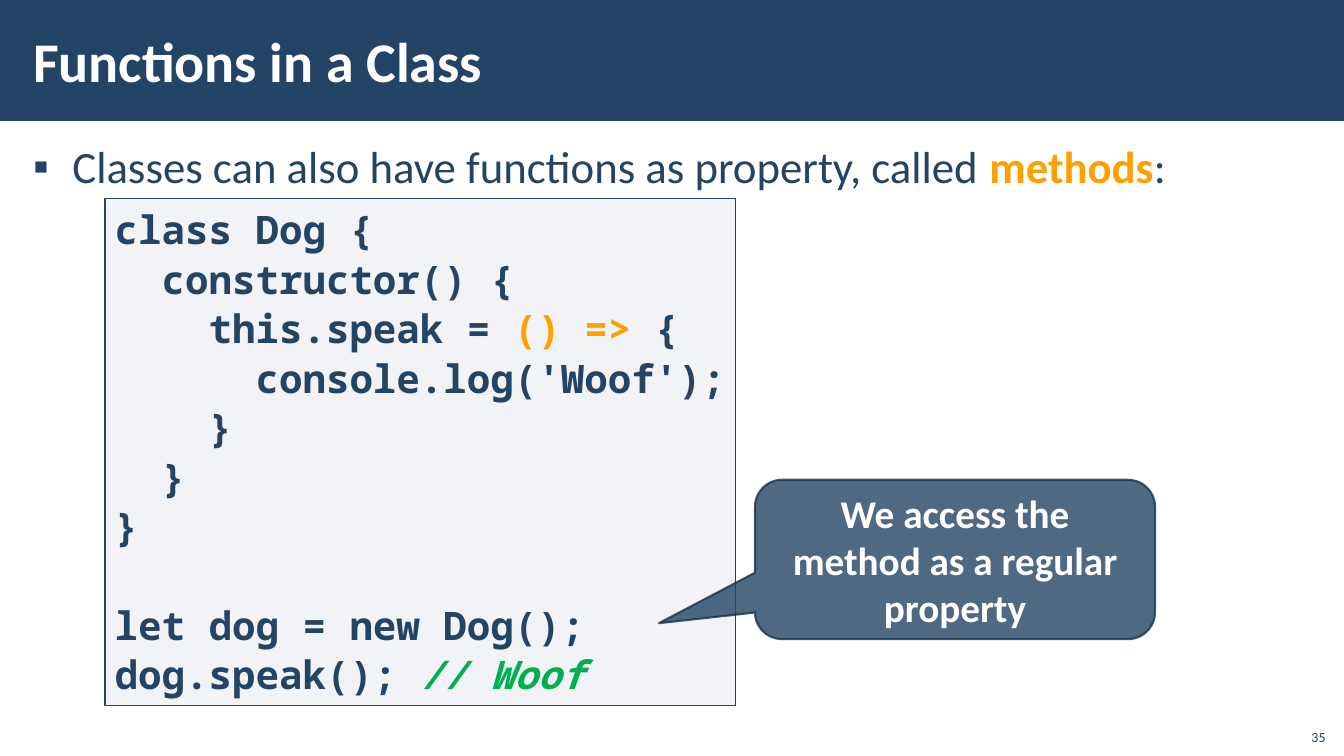
from dataclasses import dataclass

from lxml.etree import SubElement
from pptx import Presentation
from pptx.dml.color import RGBColor
from pptx.enum.shapes import MSO_SHAPE
from pptx.enum.text import MSO_ANCHOR, MSO_AUTO_SIZE, PP_ALIGN
from pptx.oxml.ns import qn
from pptx.util import Pt


@dataclass(frozen=True)
class Theme:
    navy: str = "234465"
    edge: str = "1A334C"
    mist: str = "ADB4C3"
    amber: str = "FFA000"
    green: str = "00B050"
    white: str = "FFFFFF"
    sans: str = "Calibri"
    mono: str = "Noto Sans Mono"
    title: int = 40
    body: int = 32
    code: int = 28
    page: int = 10


THEME = Theme()

CODE = [
    ["class Dog {"],
    ["  constructor() {"],
    ["    this.speak = ", ("() =>", {"color": THEME.amber}), " {"],
    ["      console.log('Woof');"],
    ["    }"],
    ["  }"],
    ["}"],
    [],
    ["let dog = new Dog();"],
    ["dog.speak(); ", ("// Woof", {"color": THEME.green, "italic": True})],
]


def style(font, size, color=THEME.navy, face=THEME.sans, bold=False, italic=False):
    font.name, font.size = face, Pt(size)
    font.bold, font.italic = bold, italic
    font.color.rgb = RGBColor.from_string(color)


def write(frame, lines, align=PP_ALIGN.LEFT, anchor=MSO_ANCHOR.TOP,
          space=None, fit=MSO_AUTO_SIZE.NONE, pad=(7.2, 3.6), **font):
    """Fill a frame; a line is a list of strings or (string, font changes)."""
    frame.word_wrap = True
    frame.auto_size = fit
    frame.vertical_anchor = anchor
    frame.margin_left = frame.margin_right = Pt(pad[0])
    frame.margin_top = frame.margin_bottom = Pt(pad[1])
    for index, line in enumerate(lines):
        para = frame.paragraphs[0] if index == 0 else frame.add_paragraph()
        para.alignment = align
        para.line_spacing = space
        if not line:
            style(para.font, **font)
        for part in line:
            text, change = (part, {}) if isinstance(part, str) else part
            run = para.add_run()
            run.text = text
            style(run.font, **{**font, **change})


def place(shape, left, top, width, height):
    shape.left, shape.top = Pt(left), Pt(top)
    shape.width, shape.height = Pt(width), Pt(height)
    return shape


def fade(paint, percent):
    """Make a solid fill or line partly transparent."""
    color = next(paint.iter(qn("a:srgbClr")))
    SubElement(color, qn("a:alpha"), val=str(percent * 1000))


def panel(slide, kind, box, fill, alpha=100, line=None, weight=1):
    shape = slide.shapes.add_shape(kind, *map(Pt, box))
    shape.shadow.inherit = False
    shape.fill.solid()
    shape.fill.fore_color.rgb = RGBColor.from_string(fill)
    if alpha < 100:
        fade(shape._element.spPr.find(qn("a:solidFill")), alpha)
    if line:
        shape.line.color.rgb = RGBColor.from_string(line)
        shape.line.width = Pt(weight)
    else:
        shape.line.fill.background()
    return shape


def bullet(para, mark, indent):
    props = para._p.get_or_add_pPr()
    props.set("marL", str(Pt(indent)))
    props.set("indent", str(Pt(-indent)))
    SubElement(props, qn("a:buChar"), char=mark)


def header(slide, text):
    bar = panel(slide, MSO_SHAPE.RECTANGLE, (0, 0, 960, 86.4), THEME.navy)
    bar._element.getparent().insert(2, bar._element)
    title = place(slide.shapes.title, 15.1, 7.9, 765.4, 69.8)
    write(title.text_frame, [[text]], anchor=MSO_ANCHOR.MIDDLE, pad=(8.5, 2.9),
          size=THEME.title, color=THEME.white, bold=True)


def points(slide, lines):
    body = place(slide.placeholders[1], 15.1, 94.3, 930.2, 435.6)
    write(body.text_frame, lines, space=1.05, pad=(8.5, 2.9), size=THEME.body)
    for index, para in enumerate(body.text_frame.paragraphs):
        para.space_before = Pt(6 if index else 0)
        para.space_after = Pt(6)
        bullet(para, "▪", 28.1)


def listing(slide, lines):
    box = panel(slide, MSO_SHAPE.RECTANGLE, (74.9, 141.8, 450.7, 362.2),
                THEME.mist, 15, THEME.navy)
    write(box.text_frame, lines, space=1.05, fit=MSO_AUTO_SIZE.SHAPE_TO_FIT_TEXT,
          size=THEME.code, face=THEME.mono, bold=True)


def callout(slide, text):
    note = panel(slide, MSO_SHAPE.ROUNDED_RECTANGULAR_CALLOUT,
                 (539.3, 342.7, 285.8, 113.8), THEME.navy, 80, THEME.edge, 1.5)
    for index, value in enumerate((-0.74, 0.4, 0.17)):
        note.adjustments[index] = value
    fade(note._element.spPr.find(qn("a:ln")), 80)
    write(note.text_frame, [[text]], align=PP_ALIGN.CENTER,
          anchor=MSO_ANCHOR.MIDDLE, size=THEME.code, color=THEME.white, bold=True)


def number(slide, text):
    box = slide.shapes.add_textbox(*map(Pt, (925.2, 512.6, 28.8, 23)))
    write(box.text_frame, [[text]], align=PP_ALIGN.RIGHT,
          anchor=MSO_ANCHOR.BOTTOM, size=THEME.page)


def main():
    deck = Presentation()
    deck.slide_width, deck.slide_height = Pt(960), Pt(540)
    slide = deck.slides.add_slide(deck.slide_layouts[1])
    header(slide, "Functions in a Class")
    points(slide, [["Classes can also have functions as property, called ",
                    ("methods", {"color": THEME.amber, "bold": True}), ":"]])
    listing(slide, CODE)
    callout(slide, "We access the method as a regular property")
    number(slide, "35")
    deck.save("out.pptx")


if __name__ == "__main__":
    main()
